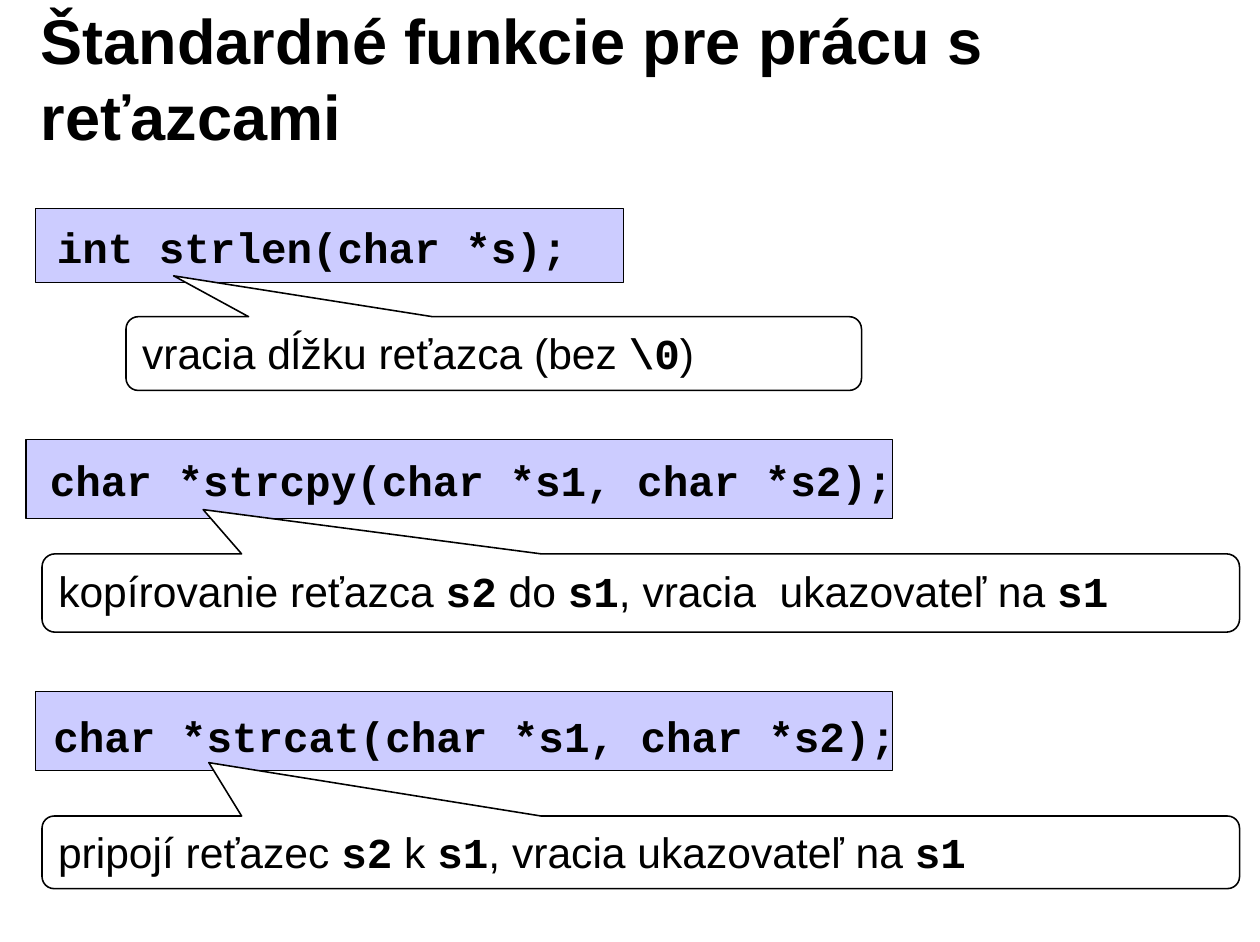
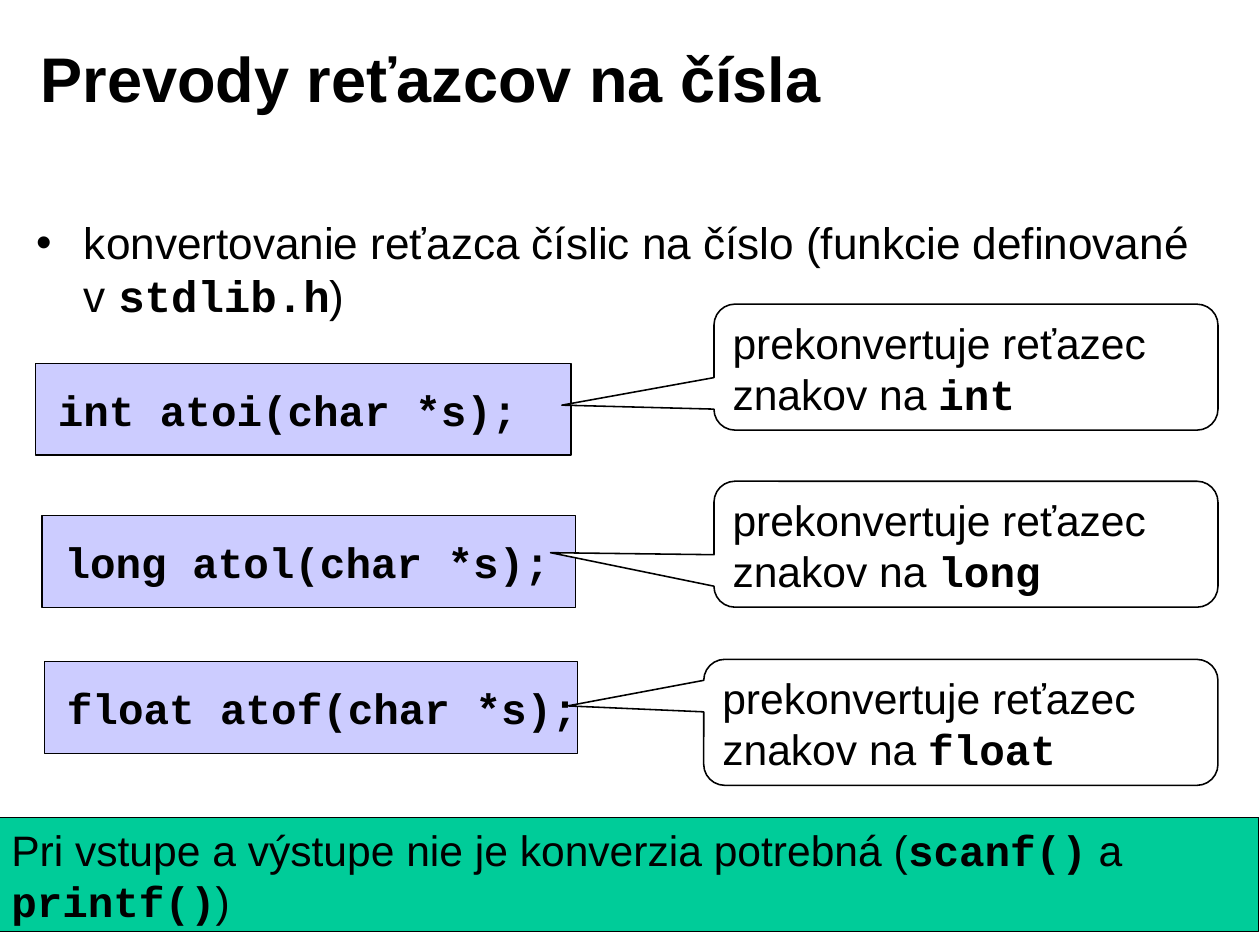
"""Build two slides on C string functions: code bars with callouts."""
from lxml import etree
from pptx import Presentation
from pptx import util as u
from pptx.dml.color import RGBColor
from pptx.enum import shapes, text
from pptx.oxml.ns import qn

BLACK = RGBColor(0x00, 0x00, 0x00)
WHITE = RGBColor(0xFF, 0xFF, 0xFF)
LILAC = RGBColor(0xCC, 0xCC, 0xFF)
GREEN = RGBColor(0x00, 0xCC, 0x99)
SANS, MONO = "Arial", "Courier New"
COLS, ROWS = 111, 83
CELL = u.Inches(0.1)
CHAR, PAD = 2.3, 1.1
RECT = shapes.MSO_SHAPE.RECTANGLE
CALL = shapes.MSO_SHAPE.ROUNDED_RECTANGULAR_CALLOUT


def write(shape, words, size=27, bold=False, anchor=text.MSO_ANCHOR.TOP):
    """Fill a shape with one paragraph; words between backticks are code."""
    frame = shape.text_frame
    frame.word_wrap, frame.vertical_anchor = True, anchor
    frame.auto_size = text.MSO_AUTO_SIZE.NONE
    frame.margin_left = frame.margin_right = u.Inches(0.11)
    frame.margin_top = frame.margin_bottom = u.Inches(0.06)
    para = frame.paragraphs[0]
    para.alignment = text.PP_ALIGN.LEFT
    para.space_before = u.Pt(0)
    for spot, part in enumerate(words.split("`")):
        if part:
            run = para.add_run()
            run.text = part
            code = spot % 2 == 1
            run.font.name = MONO if code else SANS
            run.font.size = u.Pt(size)
            run.font.bold = bold or code
            run.font.color.rgb = BLACK
    return para


def block(slide, kind, box, fill, line):
    """Add a filled, outlined shape at a box given in grid cells."""
    shape = slide.shapes.add_shape(kind, *[int(n * CELL) for n in box])
    shape.shadow.inherit = False
    shape.fill.solid()
    shape.fill.fore_color.rgb = fill
    shape.line.color.rgb = BLACK
    shape.line.width = u.Pt(line)
    return shape


deck = Presentation()
deck.slide_width, deck.slide_height = COLS * CELL, ROWS * CELL

pages = [
    ("Štandardné funkcie pre prácu s reťazcami", 5, [
        ((3.1, 18.4, 51.8, 6.5), (0.8, 0.5), "int strlen(char *s);"),
        ((2.3, 38.7, 76.3, 7), (1, 0.7), "char *strcpy(char *s1, char *s2);"),
        ((3.1, 60.9, 75.5, 7), (0.5, 1.1), "char *strcat(char *s1, char *s2);"),
    ], [
        ((11.1, 27.9, 64.8, 6.5), (15.3, 24.3),
         "vracia dĺžku reťazca (bez `\\0`)"),
        ((3.7, 48.8, 105.5, 6.9), (17.9, 44.9),
         "kopírovanie reťazca `s2` do `s1`, vracia  ukazovateľ na `s1`"),
        ((3.7, 71.9, 105.5, 6.4), (18.4, 67.2),
         "pripojí reťazec `s2` k `s1`, vracia ukazovateľ na `s1`"),
    ]),
    ("Prevody reťazcov na čísla", 1, [
        ((3.1, 32, 47.2, 8.1), (0.9, 1.2), "int atoi(char *s);"),
        ((3.7, 45.4, 47, 8.1), (0.9, 1.2), "long atol(char *s);"),
        ((3.9, 58.3, 47, 8.1), (0.9, 1.2), "float atof(char *s);"),
    ], [
        ((62.9, 26.8, 44.4, 11.1), (49.5, 35.7),
         "prekonvertuje reťazec znakov na `int`"),
        ((62.9, 42.4, 44.4, 11.1), (48.5, 48.7),
         "prekonvertuje reťazec znakov na `long`"),
        ((62, 58.1, 45.3, 11.1), (50, 62.2),
         "prekonvertuje reťazec znakov na `float`"),
    ]),
]

for title, layout, bars, notes in pages:
    slide = deck.slides.add_slide(deck.slide_layouts[layout])
    head = slide.shapes.title
    head.left, head.top, head.width, head.height = [
        int(n * CELL) for n in (2.5, 1.7, 89.1, 10.2)]
    write(head, title, size=40, bold=True, anchor=text.MSO_ANCHOR.MIDDLE)

    for box, (right, down), code in bars:
        block(slide, RECT, box, LILAC, 0.75)
        spot = (box[0] + right, box[1] + down, len(code) * CHAR + 2 * PAD, 5.6)
        label = slide.shapes.add_textbox(*[int(n * CELL) for n in spot])
        write(label, f"`{code}`")

    for box, tip, words in notes:
        note = block(slide, CALL, box, WHITE, 1)
        left, top, wide, high = box
        note.adjustments[0] = (tip[0] - left) / wide - 0.5
        note.adjustments[1] = (tip[1] - top) / high - 0.5
        write(note, words)

body = slide.placeholders[1]
body.left, body.top, body.width, body.height = [
    int(n * CELL) for n in (2.1, 18.4, 105.5, 13.6)]
para = write(body, "konvertovanie reťazca číslic na číslo "
             "(funkcie definované v `stdlib.h`)", size=28)
props = para._p.get_or_add_pPr()
props.set("marL", str(u.Inches(0.42)))
props.set("indent", str(-u.Inches(0.42)))
etree.SubElement(props, qn("a:buChar")).set("char", "•")

band = block(slide, RECT, (-0.1, 72, COLS, 10.1), GREEN, 0.75)
write(band, "Pri vstupe a výstupe nie je konverzia potrebná "
      "(`scanf()` a `printf()`)")

deck.save("out.pptx")
